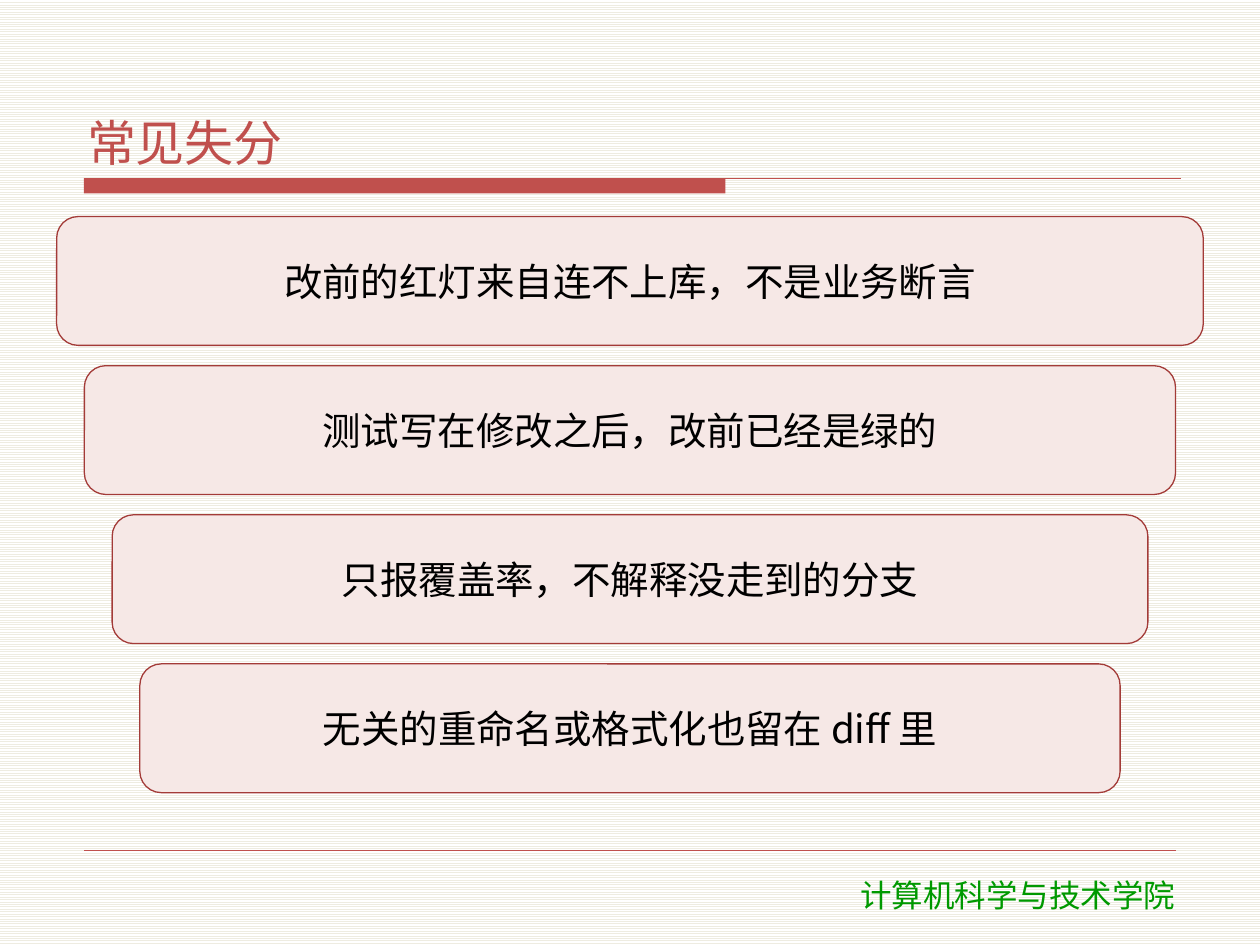
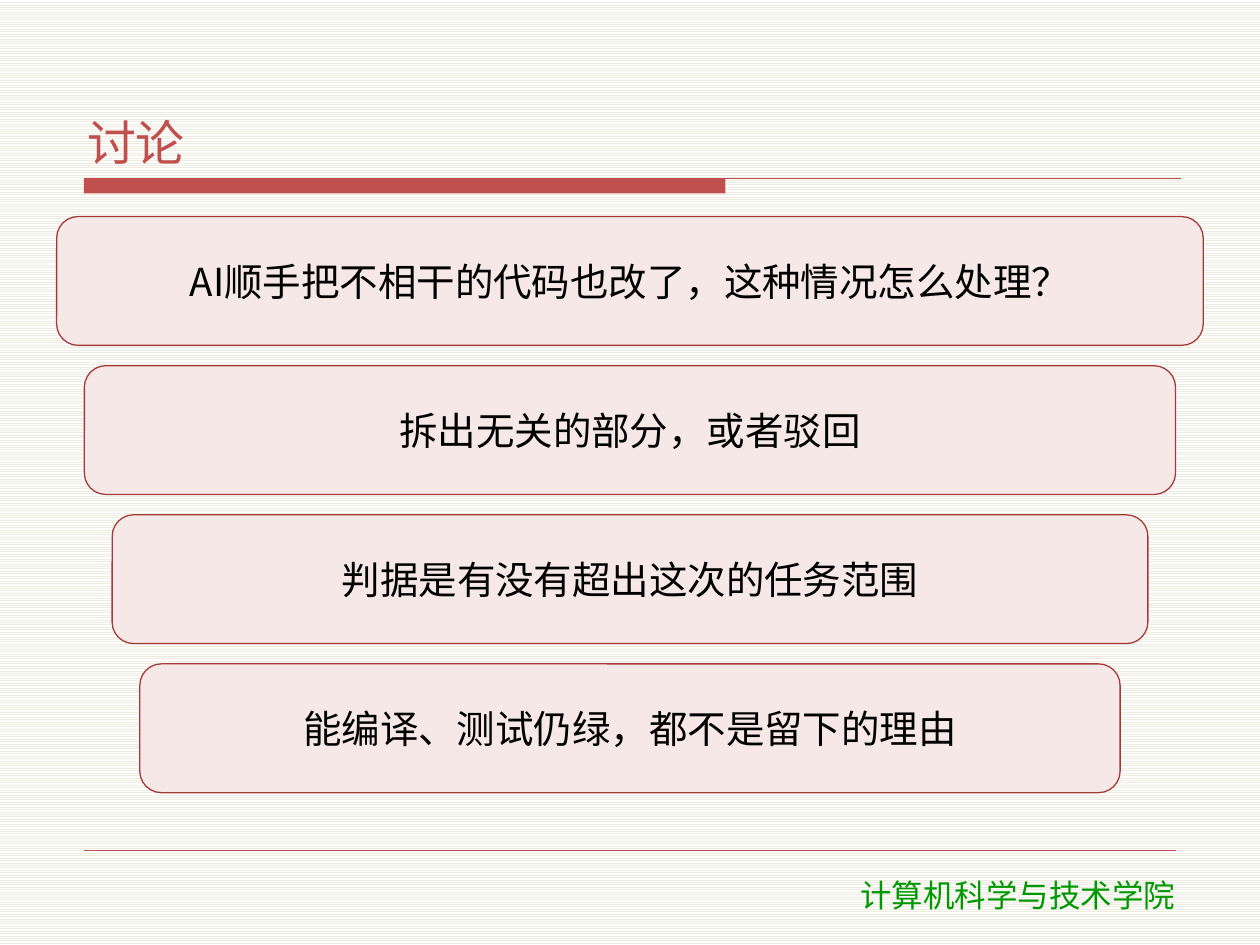
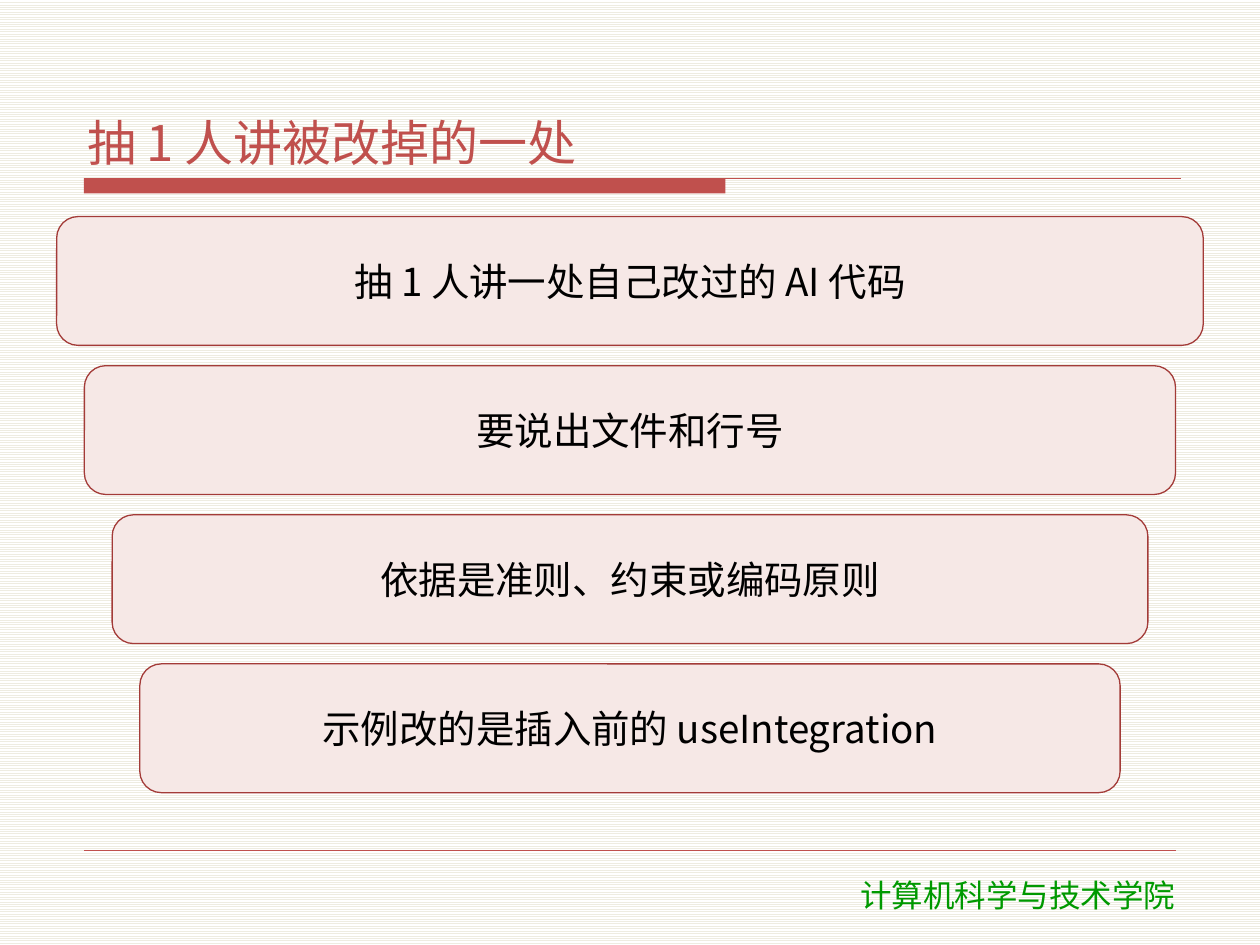
from dataclasses import dataclass

from lxml.etree import SubElement
from pptx import Presentation
from pptx.dml.color import RGBColor
from pptx.enum.dml import MSO_PATTERN
from pptx.enum.lang import MSO_LANGUAGE_ID
from pptx.enum.shapes import MSO_CONNECTOR, MSO_SHAPE
from pptx.enum.text import MSO_ANCHOR, PP_ALIGN
from pptx.oxml.ns import qn
from pptx.shapes.base import BaseShape
from pptx.slide import Slide
from pptx.util import Pt


# Theme
@dataclass(frozen=True)
class Theme:
    red: RGBColor = RGBColor(0xC0, 0x50, 0x4D)
    edge: RGBColor = RGBColor(0xA3, 0x3B, 0x38)
    pink: RGBColor = RGBColor(0xF6, 0xE8, 0xE6)
    green: RGBColor = RGBColor(0x00, 0x99, 0x00)
    black: RGBColor = RGBColor(0, 0, 0)
    white: RGBColor = RGBColor(0xFF, 0xFF, 0xFF)
    stripe: RGBColor = RGBColor(0xEE, 0xEC, 0xE1)
    sans: str = "Noto Sans CJK SC"
    foot: str = "DejaVu Sans"
    title_size: float = 28
    card_size: float = 22
    foot_size: float = 18


THEME = Theme()
WIDTH, HEIGHT = 720, 540


@dataclass(frozen=True)
class Box:
    left: float
    top: float
    width: float
    height: float

    def place(self) -> tuple[Pt, Pt, Pt, Pt]:
        return Pt(self.left), Pt(self.top), Pt(self.width), Pt(self.height)


@dataclass(frozen=True)
class Style:
    font: str
    size: float
    color: RGBColor
    align: PP_ALIGN = PP_ALIGN.CENTER
    anchor: MSO_ANCHOR = MSO_ANCHOR.MIDDLE
    inset: tuple[float, float] = (4.3, 1.4)
    after: float = 2


@dataclass(frozen=True)
class Rule:
    left: float
    right: float
    top: float
    weight: float


@dataclass(frozen=True)
class Page:
    title: str
    cards: tuple[str, ...]


# Shared styles and places
TITLE = Style(THEME.sans, THEME.title_size, THEME.red, PP_ALIGN.LEFT, MSO_ANCHOR.BOTTOM)
CARD = Style(THEME.sans, THEME.card_size, THEME.black)
FOOT = Style(THEME.foot, THEME.foot_size, THEME.green,
             anchor=MSO_ANCHOR.TOP, inset=(7.2, 3.6), after=0)

TITLE_BOX = Box(45.4, 23.8, 630, 75.6)
BAR_BOX = Box(48, 102, 366.5, 8.6)
FOOT_BOX = Box(437, 496.8, 289.4, 28.8)
RULES = (Rule(48, 674.8, 102, 0.75), Rule(48, 672, 486, 0.25))

CARD_LEFT, CARD_TOP, CARD_HIGH = 32.4, 123.8, 73.6
CARD_INSET, CARD_STEP = 15.84, 85.2

SCHOOL = "计算机科学与技术学院"
PAGES = (
    Page("常见失分", (
        "改前的红灯来自连不上库，不是业务断言",
        "测试写在修改之后，改前已经是绿的",
        "只报覆盖率，不解释没走到的分支",
        "无关的重命名或格式化也留在 diff 里",
    )),
    Page("讨论", (
        "AI顺手把不相干的代码也改了，这种情况怎么处理？",
        "拆出无关的部分，或者驳回",
        "判据是有没有超出这次的任务范围",
        "能编译、测试仍绿，都不是留下的理由",
    )),
    Page("抽 1 人讲被改掉的一处", (
        "抽 1 人讲一处自己改过的 AI 代码",
        "要说出文件和行号",
        "依据是准则、约束或编码原则",
        "示例改的是插入前的 useIntegration",
    )),
)


# Drawing parts
def write(shape: BaseShape, text: str, style: Style) -> None:
    frame = shape.text_frame
    frame.word_wrap = True
    frame.vertical_anchor = style.anchor
    frame.margin_left = frame.margin_right = Pt(style.inset[0])
    frame.margin_top = frame.margin_bottom = Pt(style.inset[1])
    para = frame.paragraphs[0]
    para.alignment = style.align
    para.space_after = Pt(style.after)
    run = para.add_run()
    run.text = text
    font = run.font
    font.name, font.size = style.font, Pt(style.size)
    font.color.rgb = style.color
    font.language_id = MSO_LANGUAGE_ID.SIMPLIFIED_CHINESE
    # East Asian face beside the Latin one
    SubElement(run._r.rPr, qn("a:ea")).set("typeface", style.font)


def add_text(slide: Slide, box: Box, text: str, style: Style) -> None:
    write(slide.shapes.add_textbox(*box.place()), text, style)


def add_block(slide: Slide, kind: MSO_SHAPE, box: Box, fill: RGBColor) -> BaseShape:
    shape = slide.shapes.add_shape(kind, *box.place())
    shape.shadow.inherit = False
    shape.fill.solid()
    shape.fill.fore_color.rgb = fill
    shape.line.fill.background()
    return shape


def add_card(slide: Slide, index: int, text: str) -> None:
    left = CARD_LEFT + index * CARD_INSET
    box = Box(left, CARD_TOP + index * CARD_STEP, WIDTH - 2 * left, CARD_HIGH)
    card = add_block(slide, MSO_SHAPE.ROUNDED_RECTANGLE, box, THEME.pink)
    card.line.color.rgb = THEME.edge
    card.line.width = Pt(0.75)
    write(card, text, CARD)


def add_rule(slide: Slide, rule: Rule) -> None:
    line = slide.shapes.add_connector(
        MSO_CONNECTOR.STRAIGHT, Pt(rule.left), Pt(rule.top), Pt(rule.right), Pt(rule.top))
    line.line.color.rgb = THEME.red
    line.line.width = Pt(rule.weight)
    SubElement(line._element.spPr, qn("a:effectLst"))


def add_frame(slide: Slide) -> None:
    add_block(slide, MSO_SHAPE.RECTANGLE, BAR_BOX, THEME.red)
    for rule in RULES:
        add_rule(slide, rule)
    add_text(slide, FOOT_BOX, SCHOOL, FOOT)


def main() -> None:
    deck = Presentation()
    deck.slide_width, deck.slide_height = Pt(WIDTH), Pt(HEIGHT)

    # Striped background for every slide
    fill = deck.slide_master.background.fill
    fill.patterned()
    fill.pattern = MSO_PATTERN.LIGHT_HORIZONTAL
    fill.fore_color.rgb = THEME.stripe
    fill.back_color.rgb = THEME.white

    # Slides
    for page in PAGES:
        slide = deck.slides.add_slide(deck.slide_layouts[6])
        add_frame(slide)
        add_text(slide, TITLE_BOX, page.title, TITLE)
        for index, text in enumerate(page.cards):
            add_card(slide, index, text)
    deck.save("out.pptx")


if __name__ == "__main__":
    main()
